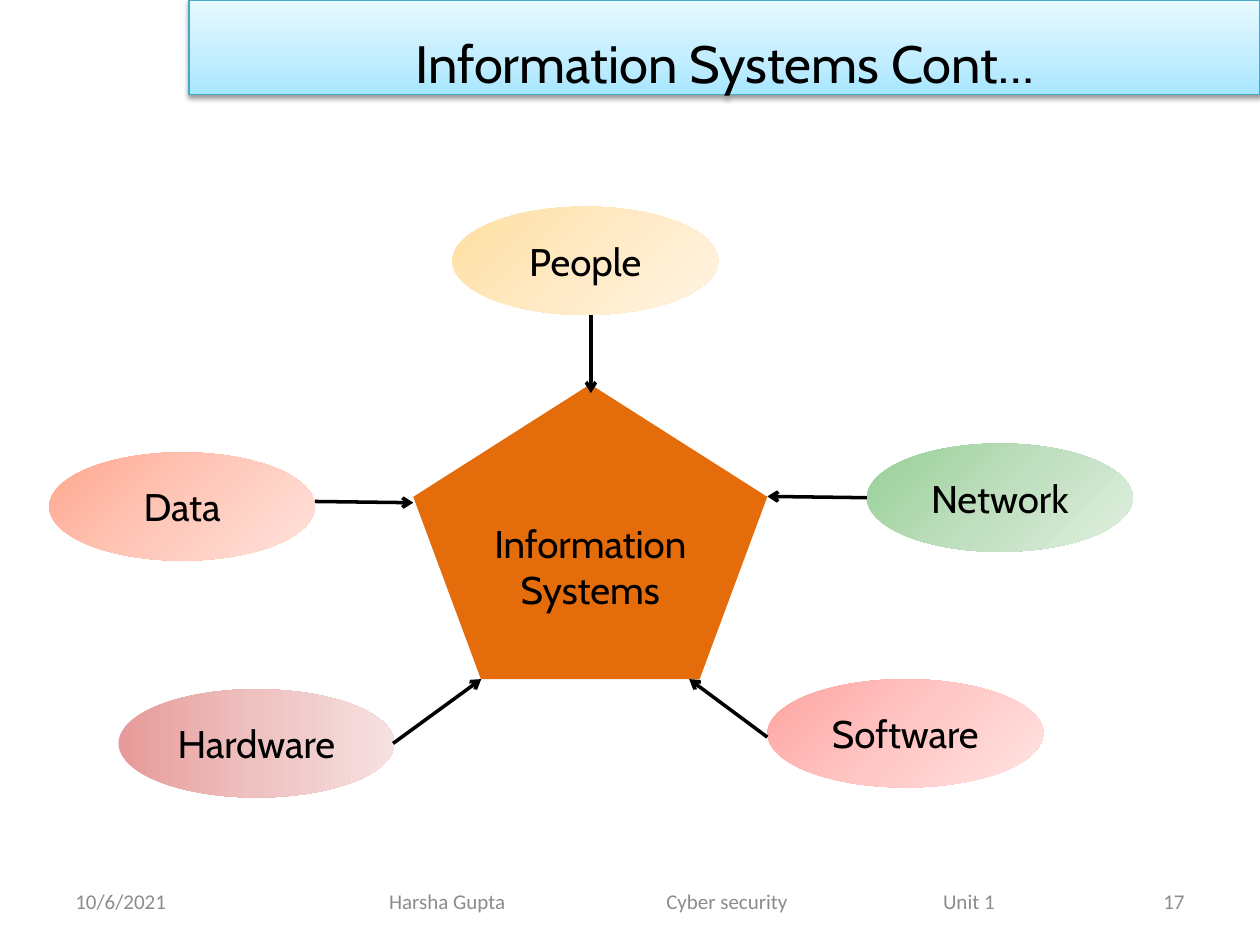
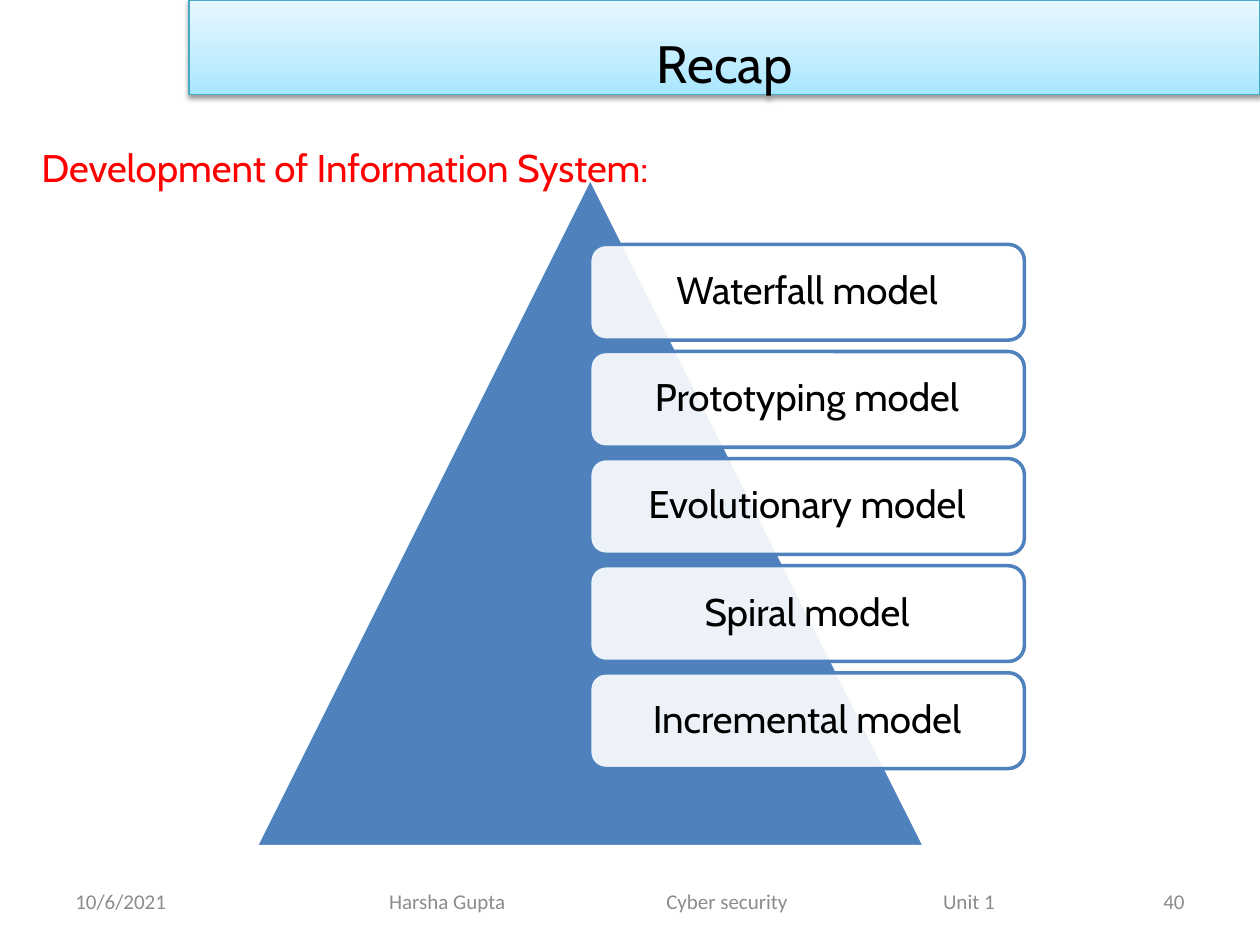
"""Build two slides on information systems: their components and their development models."""
from copy import deepcopy
from dataclasses import dataclass

from lxml import etree
from pptx import Presentation
from pptx.dml.color import RGBColor
from pptx.enum.shapes import MSO_CONNECTOR, MSO_SHAPE
from pptx.enum.text import MSO_ANCHOR, MSO_AUTO_SIZE, PP_ALIGN
from pptx.oxml.ns import qn
from pptx.util import Inches, Pt

LEFT, CENTER, RIGHT = PP_ALIGN.LEFT, PP_ALIGN.CENTER, PP_ALIGN.RIGHT
MIDDLE, NO_AUTOFIT = MSO_ANCHOR.MIDDLE, MSO_AUTO_SIZE.NONE
STRAIGHT = MSO_CONNECTOR.STRAIGHT
ELLIPSE, PENTAGON = MSO_SHAPE.OVAL, MSO_SHAPE.REGULAR_PENTAGON
TRIANGLE, ROUNDED = MSO_SHAPE.ISOSCELES_TRIANGLE, MSO_SHAPE.ROUNDED_RECTANGLE

COLORS = {
    "text": "000000", "footer": "8C8C8C", "heading": "FF0000", "white": "FFFFFF",
    "band_line": "46AAC5", "core": "E46C0A", "pyramid": "4F81BD",
}
GRADIENTS = {
    "band": ("A7E6FF", "C1EDFF", "E7F8FF"),
    "people": ("FFDFA0", "FFEAC5", "FFF4E3"),
    "data": ("FFA78E", "FFC8BA", "FFE3DD"),
    "network": ("95CF95", "BFDFBF", "E0EFE0"),
    "hardware": ("E79A99", "EEC2C1", "F6E1E1"),
    "software": ("FFA3A0", "FFC7C5", "FFE4E3"),
}
TITLE_FONT = {"name": "Cabin", "size": Pt(30), "bold": False}
BODY_FONT = {"name": "Cabin", "size": Pt(22)}
FOOTER_FONT = {"name": "Calibri", "size": Pt(12)}


@dataclass
class Component:
    """An ellipse of the diagram and the arrow that leads from it."""
    label: str
    gradient: str
    box: tuple
    arrow_start: tuple
    arrow_end: tuple
    angle: int = 45


@dataclass
class FooterItem:
    """One piece of the footer line."""
    text: str
    left: float
    width: float
    align: PP_ALIGN


COMPONENTS = [
    Component("People", "people", (3.59, 1.64, 2.11, 0.86), (4.69, 2.5), (4.69, 3.12)),
    Component("Data", "data", (0.39, 3.59, 2.11, 0.86), (2.5, 3.98), (3.28, 3.99)),
    Component("Network", "network", (6.88, 3.52, 2.11, 0.86), (6.88, 3.95), (6.09, 3.94)),
    Component("Hardware", "hardware", (0.94, 5.47, 2.19, 0.86), (3.12, 5.9), (3.82, 5.39), 0),
    Component("Software", "software", (6.09, 5.39, 2.19, 0.86), (6.09, 5.85), (5.47, 5.39)),
]
MODELS = ["Waterfall model", "Prototyping model", "Evolutionary model",
          "Spiral model", "Incremental model"]
MODEL_TOP, MODEL_PITCH = 1.94, 0.85
FOOTER = [
    FooterItem("10/6/2021", 0.5, 2.33, LEFT),
    FooterItem("Harsha Gupta", 2.8, 1.5, CENTER),
    FooterItem("Cyber security", 5.02, 1.5, CENTER),
    FooterItem("Unit 1", 6.94, 1.5, CENTER),
]


def color(key: str) -> RGBColor:
    """Look up a named colour."""
    return RGBColor.from_string(COLORS[key])


def inches(values: tuple) -> list:
    """Convert numbers to lengths."""
    return [Inches(value) for value in values]


def write(shape, text: str, font: dict, color_key: str = "text",
          align: PP_ALIGN = CENTER, spacing: float = 1.0) -> None:
    """Put one formatted paragraph into a shape."""
    frame = shape.text_frame
    frame.text = text
    for name, value in {"word_wrap": True, "vertical_anchor": MIDDLE,
                        "auto_size": NO_AUTOFIT}.items():
        setattr(frame, name, value)
    paragraph = frame.paragraphs[0]
    paragraph.alignment, paragraph.line_spacing = align, spacing
    for name, value in font.items():
        setattr(paragraph.font, name, value)
    paragraph.font.color.rgb = color(color_key)


def fill_gradient(shape, name: str, angle: int, middle: float = 0.5) -> None:
    """Fill with a three-stop gradient at a clockwise angle."""
    shape.fill.gradient()
    stop_list = shape.element.spPr.find(f".//{qn('a:gsLst')}")
    stop_list.insert(1, deepcopy(stop_list[0]))
    for stop, position, value in zip(shape.fill.gradient_stops, (0, middle, 1), GRADIENTS[name]):
        stop.position = position
        stop.color.rgb = RGBColor.from_string(value)
    shape.fill.gradient_angle = (360 - angle) % 360


def add_block(slide, kind: MSO_SHAPE, box: tuple, fill: str = "", line: str = ""):
    """Add a shape without shadow, with an optional fill and 2 pt line."""
    block = slide.shapes.add_shape(kind, *inches(box))
    block.shadow.inherit = False
    if fill:
        block.fill.solid()
        block.fill.fore_color.rgb = color(fill)
    if line:
        block.line.color.rgb = color(line)
        block.line.width = Pt(2)
    else:
        block.line.fill.background()
    return block


def add_arrow(slide, start: tuple, end: tuple) -> None:
    """Draw a black line with an open arrowhead at its end."""
    arrow = slide.shapes.add_connector(STRAIGHT, *inches(start + end))
    arrow.line.color.rgb = color("text")
    arrow.line.width = Pt(2)
    etree.SubElement(arrow.line._get_or_add_ln(), qn("a:tailEnd"), type="arrow")
    etree.SubElement(arrow.element.spPr, qn("a:effectLst"))


def style_band(title) -> None:
    """Give the title its place, gradient, outline and shadow."""
    for name, value in zip(("left", "top", "width", "height"), inches((1.5, 0, 8.5, 0.75))):
        setattr(title, name, value)
    fill_gradient(title, "band", 270, 0.35)
    title.line.color.rgb = color("band_line")
    title.line.width = Pt(0.75)
    effects = etree.SubElement(title.element.spPr, qn("a:effectLst"))
    shadow = etree.SubElement(effects, qn("a:outerShdw"), blurRad=str(Pt(3.1)),
                              dist=str(Pt(1.6)), dir="5400000", rotWithShape="0")
    shade = etree.SubElement(shadow, qn("a:srgbClr"), val=COLORS["text"])
    etree.SubElement(shade, qn("a:alpha"), val="38000")


def add_slide(deck, title: str, number: int):
    """Add a slide with the shared title band and footer."""
    slide = deck.slides.add_slide(deck.slide_layouts[5])
    style_band(slide.shapes.title)
    write(slide.shapes.title, title, TITLE_FONT, spacing=1.5)
    for item in FOOTER + [FooterItem(str(number), 7.17, 2.33, RIGHT)]:
        box = slide.shapes.add_textbox(*inches((item.left, 6.95, item.width, 0.4)))
        write(box, item.text, FOOTER_FONT, "footer", item.align)
    return slide


def build_components(deck) -> None:
    """Draw the pentagon and the five components around it."""
    slide = add_slide(deck, "Information Systems Cont…", 17)
    core = add_block(slide, PENTAGON, (3.28, 3.05, 2.81, 2.34), "core")
    write(core, "Information Systems", BODY_FONT)
    for component in COMPONENTS:
        ellipse = add_block(slide, ELLIPSE, component.box)
        fill_gradient(ellipse, component.gradient, component.angle)
        write(ellipse, component.label, BODY_FONT)
    for component in COMPONENTS:
        add_arrow(slide, component.arrow_start, component.arrow_end)


def build_recap(deck) -> None:
    """Draw the pyramid with the list of development models."""
    slide = add_slide(deck, "Recap", 40)
    add_block(slide, TRIANGLE, (2.03, 1.41, 5.31, 5.31), "pyramid", "white")
    for row, model in enumerate(MODELS):
        top = MODEL_TOP + row * MODEL_PITCH
        card = add_block(slide, ROUNDED, (4.68, top, 3.45, 0.76), "white", "pyramid")
        fill_color = card.element.spPr.find(f"{qn('a:solidFill')}/{qn('a:srgbClr')}")
        etree.SubElement(fill_color, qn("a:alpha"), val="90000")
        write(card, model, BODY_FONT, spacing=0.9)
    heading = slide.shapes.add_textbox(*inches((0.23, 1.09, 5.2, 0.47)))
    write(heading, "Development of Information System:", BODY_FONT, "heading", LEFT)
    heading.text_frame.word_wrap = False


def main() -> None:
    """Build and save the deck."""
    deck = Presentation()
    deck.slide_width, deck.slide_height = Inches(10), Inches(7.5)
    build_components(deck)
    build_recap(deck)
    deck.save("out.pptx")


if __name__ == "__main__":
    main()
